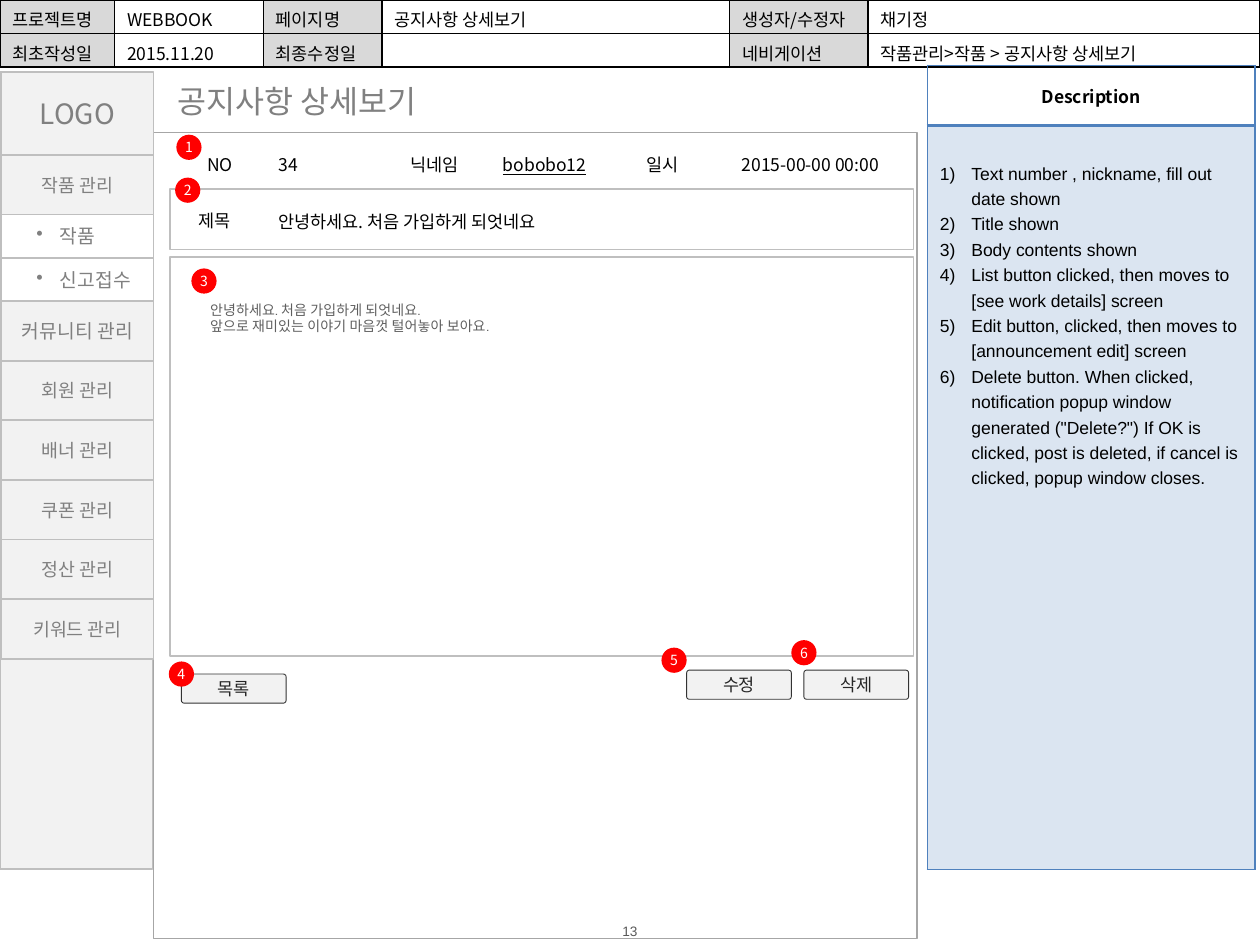
from itertools import accumulate
from lxml.etree import SubElement
from pptx import Presentation
from pptx.dml.color import RGBColor
from pptx.enum.shapes import MSO_SHAPE as Shape
from pptx.enum.text import MSO_ANCHOR as Anchor, PP_ALIGN as Align
from pptx.oxml.ns import qn
from pptx.util import Pt

COLORS = {
    "black": "000000", "white": "FFFFFF", "red": "FF0000", "blue": "4F81BD",
    "label": "D9D9D9", "panel": "F2F2F2", "frame": "BFBFBF", "edge": "A6A6A6",
    "menu": "808080", "body": "5F5F5F", "button": "262626",
    "button_edge": "333333", "footer": "595959",
}
SANS = "Noto Sans CJK KR"

HEADER_ROWS = [
    ["프로젝트명", "WEBBOOK", "페이지명", "공지사항 상세보기", "생성자/수정자", "채기정"],
    ["최초작성일", "2015.11.20", "최종수정일", "", "네비게이션", "작품관리>작품 > 공지사항 상세보기"],
]
HEADER_WIDTHS = [65.5, 85, 67.7, 198.7, 79.2, 223.9]
POST_FIELDS = ["NO", "34", "닉네임", "bobobo12", "일시", "2015-00-00 00:00"]
POST_WIDTHS = [52.6, 64.1, 64.1, 69.1, 58.3, 110.9]
DESCRIPTION = [
    "Text number , nickname, fill out date shown",
    "Title shown",
    "Body contents shown",
    "List button clicked, then moves to [see work details] screen",
    "Edit button, clicked, then moves to [announcement edit] screen",
    'Delete button. When clicked, notification popup window generated ("Delete?") '
    "If OK is clicked, post is deleted, if cancel is clicked, popup window closes.",
]
MENU_HEIGHTS = {"logo": 47.5, "item": 34.05, "sub": 24.8}
MENU = [
    ("LOGO", "logo", 16), ("작품 관리", "item", 10.5), ("작품", "sub", 11),
    ("신고접수", "sub", 11), ("커뮤니티 관리", "item", 11), ("회원 관리", "item", 10.5),
    ("배너 관리", "item", 10.5), ("쿠폰 관리", "item", 10.5), ("정산 관리", "item", 10.5),
    ("키워드 관리", "item", 10.5),
]
FRAMES = [
    (87.8, 75.6, 436.3, 460.8, "edge", 0.75),
    (97.2, 146.9, 424.8, 228.2, "frame", 1),
    (97.2, 108, 424.8, 34.6, "frame", 1),
]
BUTTONS = [("목록", 103.7, 385.2), ("수정", 392.4, 383), ("삭제", 459.4, 383)]
BADGES = [(100.8, 77), (100.1, 101.5), (109.4, 153.4), (96.5, 378), (378, 370.1), (452.2, 365.8)]


def color(name):
    return RGBColor.from_string(COLORS[name])


def write(frame, lines, size, ink="black", font=SANS, align=Align.LEFT, bold=False):
    frame.text = "\n".join(lines)
    for para in frame.paragraphs:
        para.alignment = align
        for span in para.runs:
            span.font.size = Pt(size)
            span.font.name = font
            span.font.bold = bold
            span.font.color.rgb = color(ink)
            SubElement(span.font._element, qn("a:ea"), typeface=font)


def bullet(para, indent, tag, **attributes):
    props = para._p.get_or_add_pPr()
    props.set("marL", str(Pt(indent)))
    props.set("indent", str(-Pt(indent)))
    SubElement(props, qn(tag), **attributes)


def add_box(page, kind, area, fill=None, line=None, width=1):
    box = page.shapes.add_shape(kind, *map(Pt, area))
    box.shadow.inherit = False
    if fill:
        box.fill.solid()
        box.fill.fore_color.rgb = color(fill)
    else:
        box.fill.background()
    if line:
        box.line.color.rgb = color(line)
        box.line.width = Pt(width)
    else:
        box.line.fill.background()
    box.text_frame.word_wrap = True
    box.text_frame.vertical_anchor = Anchor.MIDDLE
    return box


def add_text(page, area, lines, size, ink="black", font=SANS, anchor=Anchor.TOP,
             align=Align.LEFT, wrap=True, inset=True):
    frame = page.shapes.add_textbox(*map(Pt, area)).text_frame
    frame.word_wrap = wrap
    frame.vertical_anchor = anchor
    if not inset:
        clear_insets(frame)
    write(frame, lines, size, ink, font, align)


def clear_insets(frame):
    frame.margin_left = frame.margin_right = frame.margin_top = frame.margin_bottom = 0


def add_grid(page, left, top, widths, heights):
    table = page.shapes.add_table(len(heights), len(widths), Pt(left), Pt(top),
                                  Pt(sum(widths)), Pt(sum(heights))).table
    table.first_row = table.horz_banding = False
    for column, width in zip(table.columns, widths):
        column.width = Pt(width)
    for row, height in zip(table.rows, heights):
        row.height = Pt(height)
    return table


def style_cell(cell, fill=None, border=None, bottom=1):
    props = cell._tc.get_or_add_tcPr()
    for side in "LRTB":
        line = SubElement(props, qn("a:ln" + side), w=str(Pt(bottom if side == "B" else 1)))
        if border:
            SubElement(SubElement(line, qn("a:solidFill")), qn("a:srgbClr"), val=COLORS[border])
        else:
            SubElement(line, qn("a:noFill"))
    if fill:
        cell.fill.solid()
        cell.fill.fore_color.rgb = color(fill)
    else:
        cell.fill.background()


def build_header(page):
    table = add_grid(page, 0, 0, HEADER_WIDTHS, [19.2, 19.2])
    for r, row in enumerate(HEADER_ROWS):
        for c, text in enumerate(row):
            cell = table.cell(r, c)
            style_cell(cell, None if c % 2 else "label", "black")
            cell.margin_bottom = 0
            write(cell.text_frame, [text], 10)
            if not text:
                cell.text_frame.paragraphs[0].font.size = Pt(10)


def build_description(page):
    table = add_grid(page, 529.9, 37.4, [187.2], [34.6, 424.8])
    title, body = table.cell(0, 0), table.cell(1, 0)
    style_cell(title, border="blue", bottom=2)
    title.vertical_anchor = Anchor.MIDDLE
    write(title.text_frame, ["Description"], 10, align=Align.CENTER, bold=True)
    style_cell(body, "blue", "blue")
    fill = body._tc.tcPr.find(qn("a:solidFill"))
    SubElement(fill[0], qn("a:alpha"), val="20000")
    body._tc.tcPr.find(qn("a:lnT")).set("w", str(Pt(2)))
    body.margin_top = Pt(18.6)
    write(body.text_frame, DESCRIPTION, 10, font="Arial")
    for para in body.text_frame.paragraphs:
        para.line_spacing = 1.3
        bullet(para, 18, "a:buAutoNum", type="arabicParenR")


def build_post(page):
    add_text(page, (94.3, 43.2, 166.3, 28.8), ["공지사항 상세보기"], 18, "menu", wrap=False)
    for *area, line, width in FRAMES:
        add_box(page, Shape.RECTANGLE, area, line=line, width=width)
    table = add_grid(page, 99.4, 82.8, POST_WIDTHS, [19])
    for c, text in enumerate(POST_FIELDS):
        cell = table.cell(0, c)
        style_cell(cell)
        cell.vertical_anchor = Anchor.MIDDLE
        write(cell.text_frame, [text], 10, align=Align.LEFT if c in (1, 3) else Align.CENTER)
    table.cell(0, 3).text_frame.paragraphs[0].runs[0].font.underline = True
    add_text(page, (106.6, 116.6, 136, 19.4), ["제목"], 10, anchor=Anchor.MIDDLE)
    add_text(page, (151.9, 117.4, 234, 18), ["안녕하세요. 처음 가입하게 되엇네요"], 10,
             anchor=Anchor.MIDDLE)
    add_text(page, (113, 168.5, 388.8, 26.6),
             ["안녕하세요. 처음 가입하게 되엇네요.", "앞으로 재미있는 이야기 마음껏 털어놓아 보아요."],
             8, "body", "Cabin")
    for text, left, top in BUTTONS:
        button = add_box(page, Shape.ROUNDED_RECTANGLE, (left, top, 59.8, 16.6),
                         "panel", "button_edge", 0.5)
        button.adjustments[0] = 0.09
        write(button.text_frame, [text], 10, "button", "Calibri", Align.CENTER)
    for number, (left, top) in enumerate(BADGES, 1):
        badge = add_box(page, Shape.OVAL, (left, top, 14.4, 14.4), "red")
        clear_insets(badge.text_frame)
        write(badge.text_frame, [str(number)], 8, "white", align=Align.CENTER)


def build_menu(page):
    add_box(page, Shape.RECTANGLE, (0, 41, 87.1, 455.8), "panel", "frame")
    heights = [MENU_HEIGHTS[kind] for _, kind, _ in MENU]
    for (text, kind, size), height, top in zip(MENU, heights, accumulate(heights, initial=41)):
        is_sub = kind == "sub"
        tile = add_box(page, Shape.RECTANGLE, (0.7, top, 87.1, height),
                       "white" if is_sub else "panel", "frame")
        frame = tile.text_frame
        write(frame, [text], size, "menu", align=Align.LEFT if is_sub else Align.CENTER)
        if is_sub:
            frame.margin_left = Pt(20)
            bullet(frame.paragraphs[0], 13.5, "a:buChar", char="•")


def main():
    deck = Presentation()
    deck.slide_width, deck.slide_height = Pt(720), Pt(540)
    page = deck.slides.add_slide(deck.slide_layouts[6])
    add_text(page, (329, 527, 61.9, 10.1), ["13"], 7.8, "footer", "Arial",
             Anchor.MIDDLE, Align.CENTER, inset=False)
    build_header(page)
    build_description(page)
    build_post(page)
    build_menu(page)
    deck.save("out.pptx")


if __name__ == "__main__":
    main()
